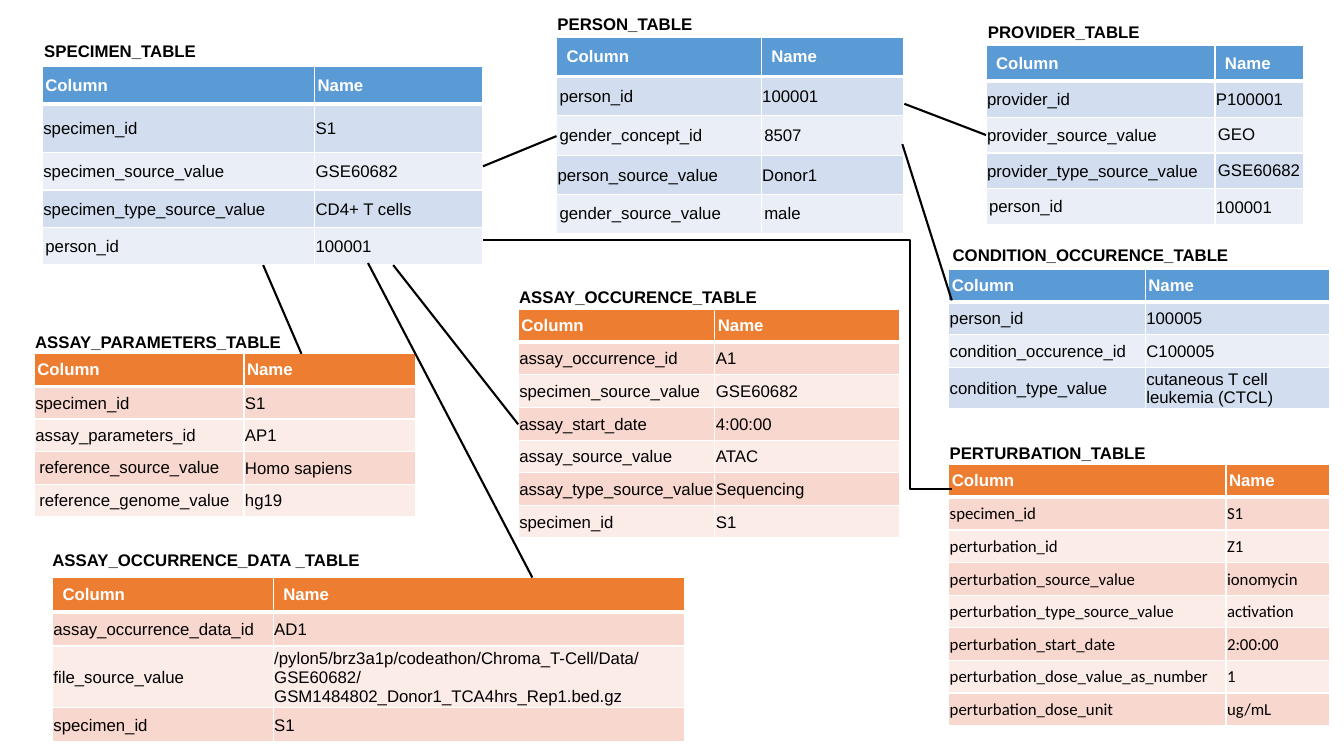
from dataclasses import dataclass, field
from typing import Any, NamedTuple

import lxml.etree
import pptx
import pptx.dml.color
import pptx.enum.shapes
import pptx.enum.text
import pptx.oxml.ns
import pptx.util

Inches = pptx.util.Inches
Pt = pptx.util.Pt
RGBColor = pptx.dml.color.RGBColor
MSO_ANCHOR = pptx.enum.text.MSO_ANCHOR
MSO_AUTO_SIZE = pptx.enum.text.MSO_AUTO_SIZE
MSO_CONNECTOR = pptx.enum.shapes.MSO_CONNECTOR
qn = pptx.oxml.ns.qn

BLACK = RGBColor(0x00, 0x00, 0x00)
WHITE = RGBColor(0xFF, 0xFF, 0xFF)


class Theme(NamedTuple):
    header: RGBColor
    odd: RGBColor
    even: RGBColor


BLUE = Theme(RGBColor(0x5B, 0x9B, 0xD5), RGBColor(0xD2, 0xDE, 0xEF), RGBColor(0xEA, 0xEF, 0xF7))
ORANGE = Theme(RGBColor(0xED, 0x7D, 0x31), RGBColor(0xF8, 0xD7, 0xCE), RGBColor(0xFC, 0xEC, 0xE8))

# Cell margins in inches: left, top, right, bottom
TIGHT = (0.01, 0.01, 0.01, 0)
LOOSE = (0.03, 0.02, 0.03, 0.02)
EVEN = (0.05, 0.05, 0.05, 0.05)
WIDE = (0.1, 0.05, 0.1, 0.05)


@dataclass
class Entity:
    title: str
    title_box: tuple[float, float, float]  # left, top, width
    left: float
    top: float
    height: float
    cols: tuple[float, float]
    theme: Theme
    rows: list[tuple[str, str]]
    header_margins: tuple = LOOSE
    cell_margins: dict = field(default_factory=dict)  # (row, col) -> margins
    first_row_extra: float = 0
    body_font: str = "Arial"


class Link(NamedTuple):
    x1: float
    y1: float
    x2: float
    y2: float
    bend: float = 0  # share of the width where an elbow turns


ENTITIES = [
    Entity("PERSON_TABLE", (5.43, 0.09, 1.55), 5.52, 0.37, 1.95, (2.03, 1.41), BLUE,
           [("person_id", "100001"), ("gender_concept_id", "8507"),
            ("person_source_value", "Donor1"), ("gender_source_value", "male")],
           WIDE, dict.fromkeys([(1, 0), (2, 0), (2, 1), (4, 0), (4, 1)], LOOSE)),
    Entity("SPECIMEN_TABLE", (0.34, 0.36, 1.72), 0.42, 0.66, 1.86, (2.7, 1.67), BLUE,
           [("specimen_id", "S1"), ("specimen_source_value", "GSE60682"),
            ("specimen_type_source_value", "CD4+ T cells"), ("person_id", "100001")],
           cell_margins={(4, 0): LOOSE}, first_row_extra=0.11),
    Entity("PROVIDER_TABLE", (9.7, 0.17, 1.72), 9.78, 0.45, 1.78, (2.27, 0.88), BLUE,
           [("provider_id", "P100001"), ("provider_source_value", "GEO"),
            ("provider_type_source_value", "GSE60682"), ("person_id", "100001")],
           WIDE, dict.fromkeys([(2, 1), (3, 1), (4, 0)], LOOSE)),
    Entity("ASSAY_OCCURRENCE_DATA _TABLE", (0.42, 5.4, 3.28), 0.52, 5.73, 1.36, (2.19, 4.08), ORANGE,
           [("assay_occurrence_data_id", "AD1"),
            ("file_source_value", "/pylon5/brz3a1p/codeathon/Chroma_T-Cell/Data/"
                                  "GSE60682/GSM1484802_Donor1_TCA4hrs_Rep1.bed.gz"),
            ("specimen_id", "S1")], WIDE),
    Entity("CONDITION_OCCURENCE_TABLE", (9.35, 2.38, 2.96), 9.41, 2.67, 1.3, (1.95, 1.83), BLUE,
           [("person_id", "100005"), ("condition_occurence_id", "C100005"),
            ("condition_type_value", "cutaneous T cell leukemia (CTCL)")]),
    Entity("ASSAY_PARAMETERS_TABLE", (0.25, 3.24, 2.66), 0.34, 3.51, 1.62, (2.08, 1.7), ORANGE,
           [("specimen_id", "S1"), ("assay_parameters_id", "AP1"),
            ("reference_source_value", "Homo sapiens"), ("reference_genome_value", "hg19")],
           cell_margins=dict.fromkeys([(3, 0), (4, 0)], EVEN)),
    Entity("PERTURBATION_TABLE", (9.32, 4.34, 2.17), 9.41, 4.61, 2.59, (2.75, 1.03), ORANGE,
           [("specimen_id", "S1"), ("perturbation_id", "Z1"),
            ("perturbation_source_value", "ionomycin"),
            ("perturbation_type_source_value", "activation"),
            ("perturbation_start_date", "2:00:00"),
            ("perturbation_dose_value_as_number", "1"), ("perturbation_dose_unit", "ug/mL")],
           body_font="Calibri"),
    Entity("ASSAY_OCCURENCE_TABLE", (5.05, 2.8, 2.58), 5.14, 3.07, 2.27, (1.95, 1.83), ORANGE,
           [("assay_occurrence_id", "A1"), ("specimen_source_value", "GSE60682"),
            ("assay_start_date", "4:00:00"), ("assay_source_value", "ATAC"),
            ("assay_type_source_value", "Sequencing"), ("specimen_id", "S1")]),
]

LINKS = [
    Link(5.52, 1.35, 4.79, 1.65),
    Link(8.97, 1.03, 9.78, 1.34),
    Link(8.95, 1.43, 9.44, 2.98),
    Link(2.99, 3.51, 2.61, 2.63),
    Link(5.28, 5.73, 3.65, 2.61),
    Link(3.9, 2.63, 5.14, 4.21),
    Link(4.79, 2.38, 9.44, 4.85, bend=0.91),
]


def set_all(target: Any, values: dict[str, Any]) -> None:
    for name, value in values.items():
        setattr(target, name, value)


def write(tf: Any, text: str, color: RGBColor, bold: bool, font: str = "Arial") -> None:
    r = tf.paragraphs[0].add_run()
    r.text = text
    set_all(r.font, {"name": font, "size": Pt(12), "bold": bold})
    r.font.color.rgb = color


def set_borders(cell: Any, widths: dict[str, float]) -> None:
    tc_pr = cell._tc.get_or_add_tcPr()
    for i, (side, width) in enumerate(widths.items()):
        ln = lxml.etree.Element(qn(f"a:ln{side}"), w=str(Pt(width)))
        fill = lxml.etree.SubElement(ln, qn("a:solidFill"))
        lxml.etree.SubElement(fill, qn("a:srgbClr"), val=str(WHITE))
        tc_pr.insert(i, ln)


def add_entity(s: Any, e: Entity) -> None:
    # Table
    cells = [("Column", "Name"), *e.rows]
    frame = s.shapes.add_table(len(cells), 2, Inches(e.left), Inches(e.top),
                               Inches(sum(e.cols)), Inches(e.height))
    table = frame.table
    for col, width in zip(table.columns, e.cols):
        col.width = Inches(width)
    for i, texts in enumerate(cells):
        extra = e.first_row_extra if i == 1 else 0
        table.rows[i].height = Inches(e.height / len(cells) + extra)
        header = i == 0
        fill = e.theme.header if header else e.theme.odd if i % 2 else e.theme.even
        for j, text in enumerate(texts):
            cell = table.cell(i, j)
            margins = e.header_margins if header else e.cell_margins.get((i, j), TIGHT)
            sides = ("margin_left", "margin_top", "margin_right", "margin_bottom")
            set_all(cell, {side: Inches(m) for side, m in zip(sides, margins)})
            cell.vertical_anchor = MSO_ANCHOR.MIDDLE
            cell.fill.solid()
            cell.fill.fore_color.rgb = fill
            set_borders(cell, {"L": 1, "R": 1, "T": 3 if i == 1 else 1, "B": 3 if header else 1})
            write(cell.text_frame, text, WHITE if header else BLACK, header,
                  "Arial" if header else e.body_font)

    # Table name
    left, top, width = e.title_box
    tf = s.shapes.add_textbox(Inches(left), Inches(top), Inches(width), Inches(0.3)).text_frame
    set_all(tf, {"word_wrap": False, "auto_size": MSO_AUTO_SIZE.SHAPE_TO_FIT_TEXT})
    write(tf, e.title, BLACK, True)


def add_link(s: Any, link: Link) -> None:
    kind = MSO_CONNECTOR.ELBOW if link.bend else MSO_CONNECTOR.STRAIGHT
    line = s.shapes.add_connector(kind, Inches(link.x1), Inches(link.y1),
                                  Inches(link.x2), Inches(link.y2))
    line.line.color.rgb = BLACK
    line.line.width = Pt(1.5)
    sp_pr = line._element.spPr
    lxml.etree.SubElement(sp_pr, qn("a:effectLst"))
    if link.bend:
        adjustments = sp_pr.find(f"{qn('a:prstGeom')}/{qn('a:avLst')}")
        lxml.etree.SubElement(adjustments, qn("a:gd"), name="adj1",
                              fmla=f"val {round(link.bend * 100000)}")


def main() -> None:
    prs = pptx.Presentation()
    set_all(prs, {"slide_width": Inches(13.33), "slide_height": Inches(7.5)})
    s = prs.slides.add_slide(prs.slide_layouts[6])
    for entity in ENTITIES:
        add_entity(s, entity)
    for link in LINKS:
        add_link(s, link)
    prs.save("out.pptx")


if __name__ == "__main__":
    main()
